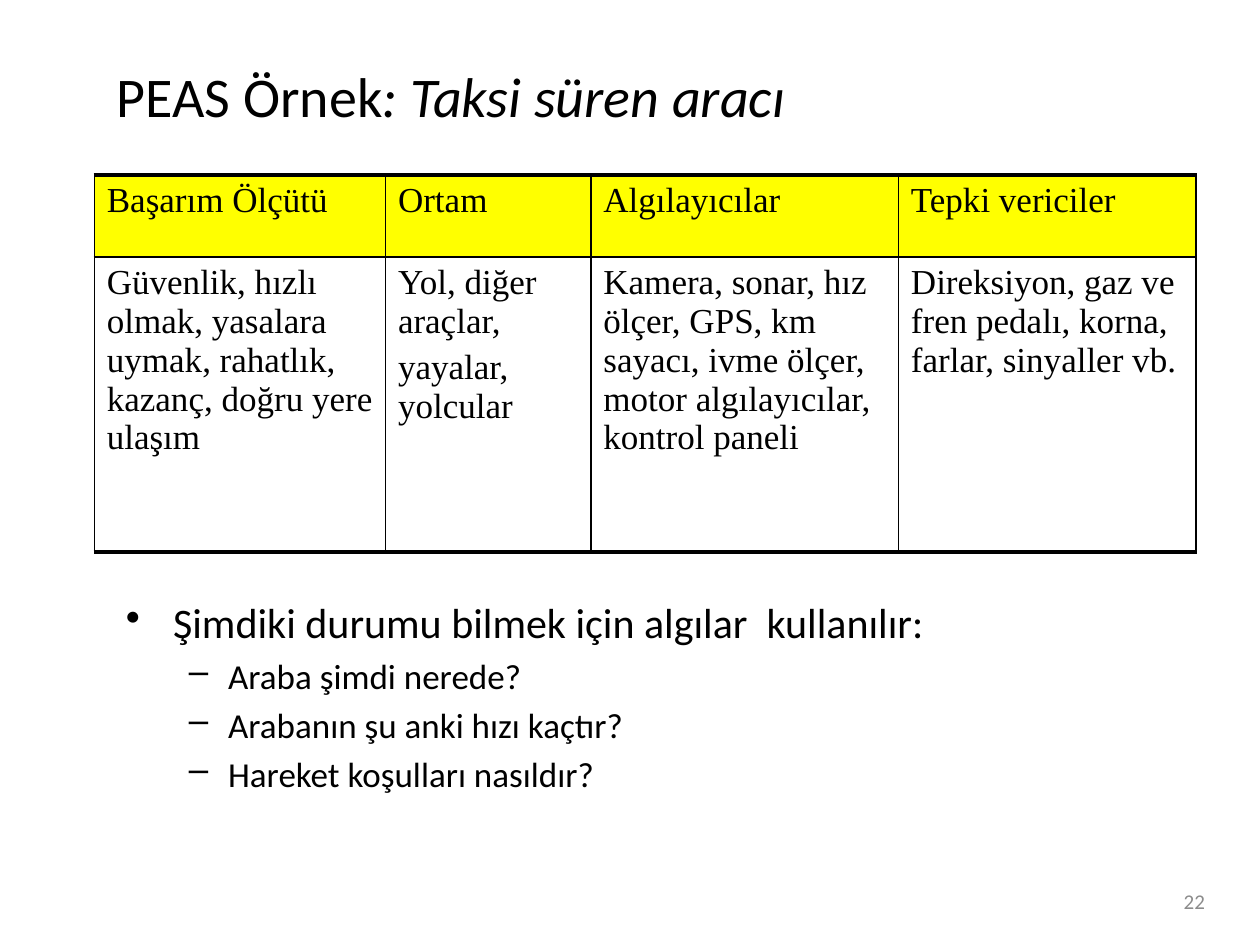
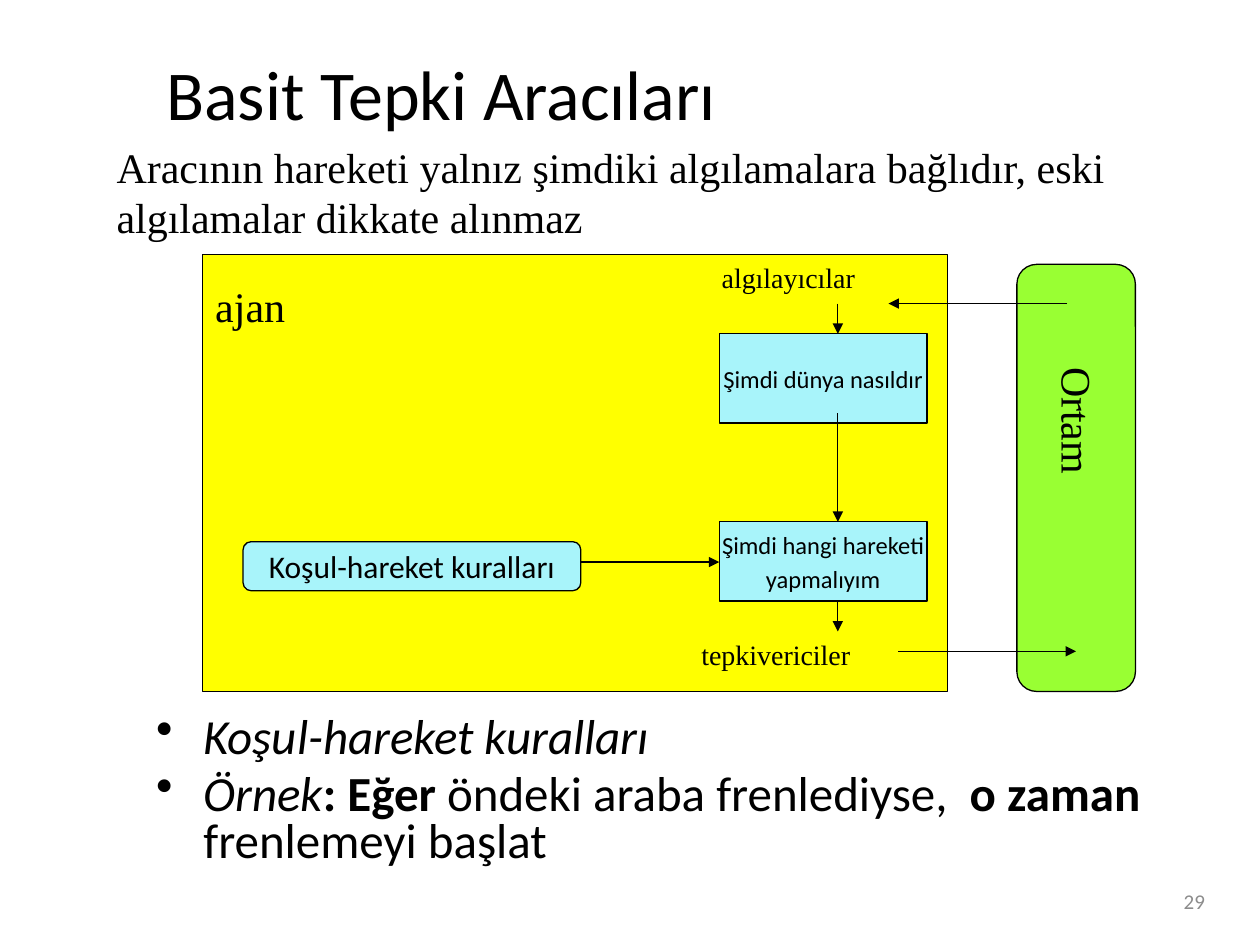
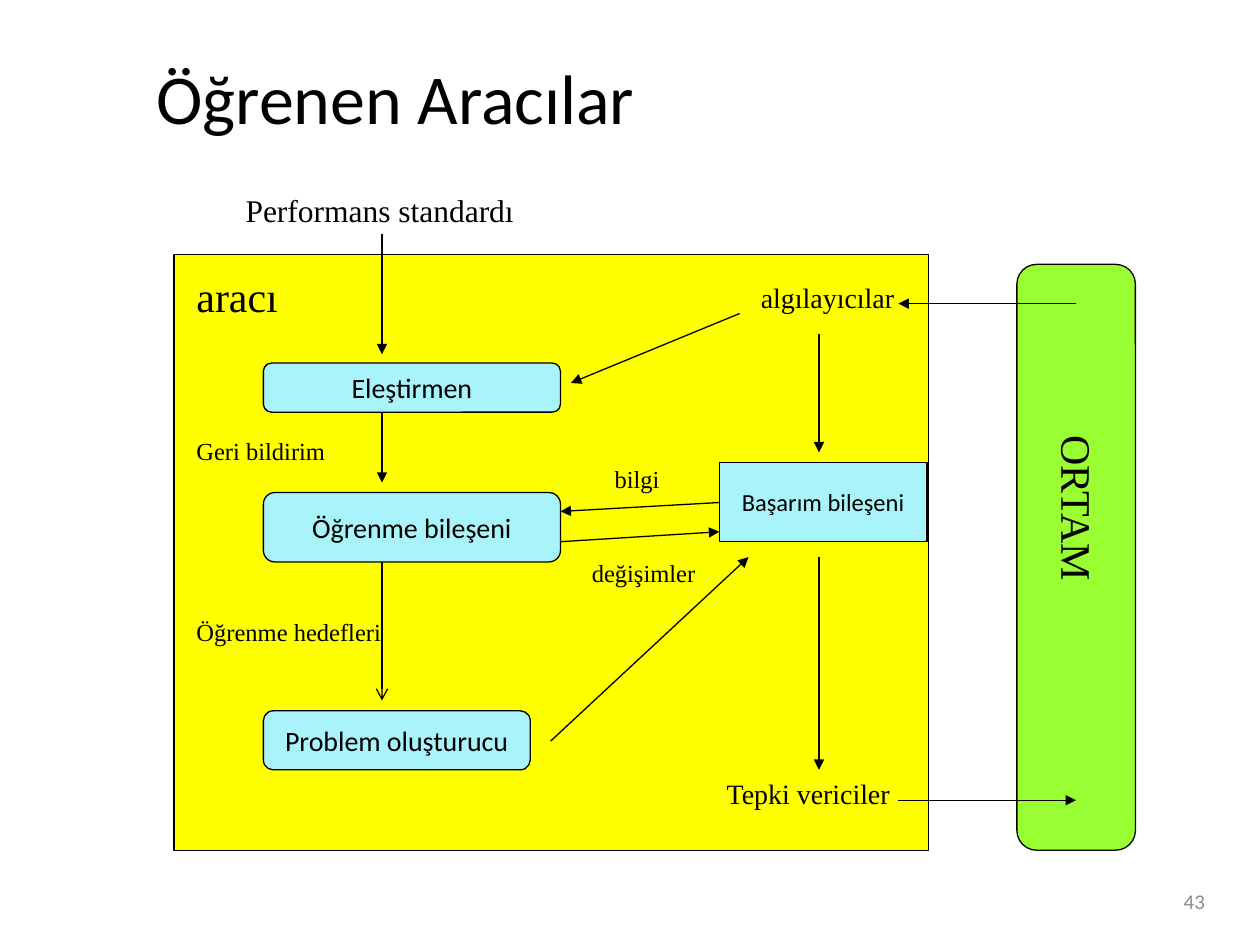
from lxml import etree
from pptx import Presentation
from pptx.dml.color import RGBColor
from pptx.enum.shapes import MSO_CONNECTOR, MSO_SHAPE
from pptx.enum.text import MSO_ANCHOR, MSO_AUTO_SIZE, PP_ALIGN
from pptx.oxml.ns import qn
from pptx.util import Cm, Pt

BLACK = RGBColor(0x00, 0x00, 0x00)
WHITE = RGBColor(0xFF, 0xFF, 0xFF)
GREY = RGBColor(0x8C, 0x8C, 0x8C)
YELLOW = RGBColor(0xFF, 0xFF, 0x00)
GREEN = RGBColor(0x99, 0xFF, 0x33)
CYAN = RGBColor(0xA8, 0xF4, 0xFA)

SANS, SERIF = "Calibri", "Times New Roman"
TITLE_ONLY = 5
THIN = Pt(0.75)
ITALIC, BOLD = {"italic": True}, {"bold": True}
BULLETS = {0: ("•", 0.95, -0.95), 1: ("–", 2.06, -0.79)}


def set_values(target, values):
    """Set every attribute named in a dict."""
    for name, value in values.items():
        setattr(target, name, value)


def lengths(place):
    """Turn centimetre numbers into lengths."""
    return [Cm(number) for number in place]


def write_paragraph(paragraph, content, size, font=SANS, color=BLACK, **layout):
    """Fill a paragraph from a string or a list of (text, format) runs."""
    set_values(paragraph, layout)
    runs = [(content, {})] if isinstance(content, str) else content
    for text, values in runs:
        run = paragraph.add_run()
        run.text = text
        set_values(run.font, {"size": Pt(size), "name": font, **values})
        run.font.color.rgb = color


def write_lines(frame, lines, size, **layout):
    """Write one paragraph a line, spaced by a fifth of the text size."""
    for index, line in enumerate(lines):
        paragraph = frame.add_paragraph() if index else frame.paragraphs[0]
        if index:
            paragraph.space_before = Pt(size * 0.2)
        write_paragraph(paragraph, line, size, **layout)


def add_slide(presentation, title, place, size, number):
    """Add a slide with its left-aligned title and its page number."""
    slide = presentation.slides.add_slide(presentation.slide_layouts[TITLE_ONLY])
    shape = slide.shapes.title
    left, top, width, height = lengths(place)
    set_values(shape, {"left": left, "top": top, "width": width, "height": height})
    set_values(shape.text_frame, {"vertical_anchor": MSO_ANCHOR.MIDDLE,
                                  "auto_size": MSO_AUTO_SIZE.NONE})
    write_lines(shape.text_frame, [title], size, alignment=PP_ALIGN.LEFT)
    add_label(slide, (18.62, 17.65, 5.92, 1.02), str(number), 12, font=SANS,
              color=GREY, anchor=MSO_ANCHOR.MIDDLE, alignment=PP_ALIGN.RIGHT)
    return slide


def add_label(slide, place, text, size, wrap=True, rotation=0, font=SERIF,
              anchor=MSO_ANCHOR.TOP, **layout):
    """Add a free text."""
    box = slide.shapes.add_textbox(*lengths(place))
    box.rotation = rotation
    set_values(box.text_frame, {"word_wrap": wrap, "vertical_anchor": anchor})
    write_lines(box.text_frame, [text], size, font=font, **layout)


def add_bullets(slide, place, items, line_spacing=1.0):
    """Add a bulleted list of (level, size, content) items."""
    frame = slide.shapes.add_textbox(*lengths(place)).text_frame
    frame.word_wrap = True
    for index, (level, size, content) in enumerate(items):
        paragraph = frame.add_paragraph() if index else frame.paragraphs[0]
        write_paragraph(paragraph, content, size, level=level,
                        line_spacing=line_spacing,
                        space_before=Pt(size * 0.2 if index else 0))
        mark, margin, indent = BULLETS[level]
        properties = paragraph._p.get_or_add_pPr()
        properties.set("marL", str(Cm(margin)))
        properties.set("indent", str(Cm(indent)))
        etree.SubElement(properties, qn("a:buChar")).set("char", mark)


def add_block(slide, place, fill, lines=(), size=14, rounded=False):
    """Add an outlined rectangle with centred text."""
    kind = MSO_SHAPE.ROUNDED_RECTANGLE if rounded else MSO_SHAPE.RECTANGLE
    shape = slide.shapes.add_shape(kind, *lengths(place))
    shape.shadow.inherit = False
    shape.fill.solid()
    shape.fill.fore_color.rgb = fill
    shape.line.color.rgb = BLACK
    shape.line.width = THIN
    set_values(shape.text_frame, {"word_wrap": False,
                                  "vertical_anchor": MSO_ANCHOR.MIDDLE})
    write_lines(shape.text_frame, lines, size, alignment=PP_ALIGN.CENTER)


def add_arrow(slide, start, end, head="triangle"):
    """Add a straight arrow between two points."""
    line = slide.shapes.add_connector(MSO_CONNECTOR.STRAIGHT,
                                      *lengths(start + end))
    line.line.color.rgb = BLACK
    line.line.width = THIN
    etree.SubElement(line.line._get_or_add_ln(), qn("a:tailEnd")).set("type", head)
    etree.SubElement(line._element.spPr, qn("a:effectLst"))


def add_environment(slide, height, label, label_place):
    """Add the green environment column with its turned label."""
    add_block(slide, (20.5, 5.33, 2.39, height), GREEN, rounded=True)
    add_label(slide, label_place, label, 24, wrap=False, rotation=90)


def set_borders(cell, widths):
    """Draw black cell borders, widths in points by side."""
    properties = cell._tc.get_or_add_tcPr()
    for index, side in enumerate("LRTB"):
        line = etree.Element(qn("a:ln" + side), w=str(Pt(widths[side])))
        fill = etree.SubElement(line, qn("a:solidFill"))
        etree.SubElement(fill, qn("a:srgbClr")).set("val", str(BLACK))
        properties.insert(index, line)


def add_grid(slide, left, top, widths, heights, rows):
    """Add a table with a yellow header; a cell is a list of lines."""
    table = slide.shapes.add_table(
        len(heights), len(widths),
        *lengths((left, top, sum(widths), sum(heights)))).table
    for column, width in zip(table.columns, widths):
        column.width = Cm(width)
    for index, (row, height, contents) in enumerate(
            zip(table.rows, heights, rows)):
        row.height = Cm(height)
        borders = {"L": 1, "R": 1, "T": 1 if index else 2.25,
                   "B": 2.25 if index == len(rows) - 1 else 1}
        for cell, lines in zip(row.cells, contents):
            cell.fill.solid()
            cell.fill.fore_color.rgb = WHITE if index else YELLOW
            write_lines(cell.text_frame, lines, 20, font=SERIF)
            set_borders(cell, borders)


def build_taxi_slide(presentation):
    """Show the PEAS table of the taxi driver."""
    slide = add_slide(presentation,
                      [("PEAS Örnek", {}), (": Taksi süren aracı", ITALIC)],
                      (2.1, 0.91, 22.8, 2), 32, 22)
    add_grid(slide, 1.9, 3.53, (5.87, 4.14, 6.2, 6), (1.65, 5.95), [
        [["Başarım Ölçütü"], ["Ortam"], ["Algılayıcılar"], ["Tepki vericiler"]],
        [["Güvenlik, hızlı olmak, yasalara uymak, rahatlık, kazanç, "
          "doğru yere ulaşım"],
         ["Yol, diğer araçlar, ", "yayalar, yolcular"],
         ["Kamera, sonar, hız ölçer, GPS, km sayacı, ivme ölçer, "
          "motor algılayıcılar, kontrol paneli"],
         ["Direksiyon, gaz ve fren pedalı, korna, farlar, sinyaller vb."]],
    ])
    questions = ("Araba şimdi nerede?", "Arabanın şu anki hızı kaçtır?",
                 "Hareket koşulları nasıldır?")
    add_bullets(slide, (2.29, 11.91, 22.2, 6.2),
                [(0, 24, "Şimdiki durumu bilmek için algılar  kullanılır:")]
                + [(1, 20, question) for question in questions])


def build_reflex_slide(presentation):
    """Show the simple reflex agent."""
    slide = add_slide(presentation, "Basit Tepki Aracıları",
                      (3.1, 0.71, 21.6, 2.31), 40, 29)
    add_label(slide, (2.1, 2.72, 22.8, 2.31),
              "Aracının hareketi yalnız şimdiki algılamalara bağlıdır, "
              "eski algılamalar dikkate alınmaz", 24)
    add_environment(slide, 8.61, "Ortam", (20.4, 7.85, 2.67, 1.27))
    add_block(slide, (4.09, 5.13, 15.01, 8.81), YELLOW)
    add_label(slide, (4.09, 5.54, 1.93, 1.27), "ajan", 24, wrap=False)
    add_label(slide, (14.3, 5.13, 3.66, 0.94), "algılayıcılar", 16)
    add_label(slide, (13.89, 12.73, 4.19, 0.94), "tepkivericiler", 16)

    add_block(slide, (14.5, 6.73, 4.19, 1.8), CYAN, ["Şimdi dünya nasıldır"])
    add_block(slide, (14.5, 10.52, 4.19, 1.6), CYAN,
              ["Şimdi hangi hareketi", "yapmalıyım"])
    add_block(slide, (4.9, 10.92, 6.81, 0.99), CYAN,
              ["Koşul-hareket kuralları"], 18, rounded=True)

    for start, end in ((6.12, 6.73), (8.33, 10.52), (12.12, 12.73)):
        add_arrow(slide, (16.89, start), (16.89, end))
    add_arrow(slide, (11.71, 11.33), (14.5, 11.33))
    add_arrow(slide, (21.51, 6.12), (17.91, 6.12))
    add_arrow(slide, (18.11, 13.13), (21.69, 13.13))

    add_bullets(slide, (2.9, 14.33, 21.6, 3.61), [
        (0, 28, [("Koşul-hareket kuralları ", ITALIC)]),
        (0, 28, [("Örnek", ITALIC), (": Eğer", BOLD),
                 (" öndeki araba frenlediyse,  ", {}), ("o zaman", BOLD),
                 (" frenlemeyi başlat", {})]),
    ], line_spacing=0.8)


def build_learning_slide(presentation):
    """Show the learning agent."""
    slide = add_slide(presentation, "Öğrenen Aracılar",
                      (2.9, 0.71, 21.6, 2.46), 40, 43)
    add_block(slide, (3.51, 5.13, 15.21, 12.01), YELLOW)
    add_environment(slide, 11.81, "ORTAM", (19.94, 9.68, 3.58, 1.27))

    add_label(slide, (15.09, 5.54, 3.23, 0.94), "algılayıcılar", 16, wrap=False)
    for place, text, size in (
            ((3.71, 5.33, 2.31, 1.27), "aracı", 24),
            ((14.4, 15.52, 4.19, 0.94), "Tepki vericiler", 16),
            ((4.7, 3.73, 6.45, 1.02), "Performans standardı", 18),
            ((3.71, 8.66, 3.99, 0.86), "Geri bildirim", 14),
            ((3.71, 12.32, 4.6, 0.86), "Öğrenme hedefleri", 14),
            ((12.14, 9.22, 2.11, 0.84), "bilgi", 14),
            ((11.68, 11.13, 2.72, 0.86), "değişimler", 14)):
        add_label(slide, place, text, size)

    for top, width, height, text in ((7.32, 5.99, 0.99, "Eleştirmen"),
                                     (9.93, 5.99, 1.4, "Öğrenme bileşeni"),
                                     (14.33, 5.38, 1.19, "Problem oluşturucu")):
        add_block(slide, (5.31, top, width, height), CYAN, [text], 16,
                  rounded=True)
    add_block(slide, (14.5, 9.32, 4.19, 1.6), CYAN, ["Başarım bileşeni"])

    for start, end in (((21.69, 6.12), (18.11, 6.12)),
                       ((18.11, 16.13), (21.69, 16.13)),
                       ((16.51, 6.73), (16.51, 9.12)),
                       ((16.51, 11.23), (16.51, 15.52)),
                       ((14.91, 6.32), (11.51, 7.72)),
                       ((14.5, 10.13), (11.3, 10.31)),
                       ((11.3, 10.92), (14.5, 10.72)),
                       ((11.1, 14.94), (15.09, 11.23)),
                       ((7.7, 4.72), (7.7, 7.14)),
                       ((7.7, 8.33), (7.7, 9.73))):
        add_arrow(slide, start, end)
    add_arrow(slide, (7.7, 11.33), (7.7, 14.12), head="arrow")


def main():
    """Build and save the presentation."""
    presentation = Presentation()
    set_values(presentation, {"slide_width": Cm(25.4), "slide_height": Cm(19.05)})
    build_taxi_slide(presentation)
    build_reflex_slide(presentation)
    build_learning_slide(presentation)
    presentation.save("out.pptx")


main()
